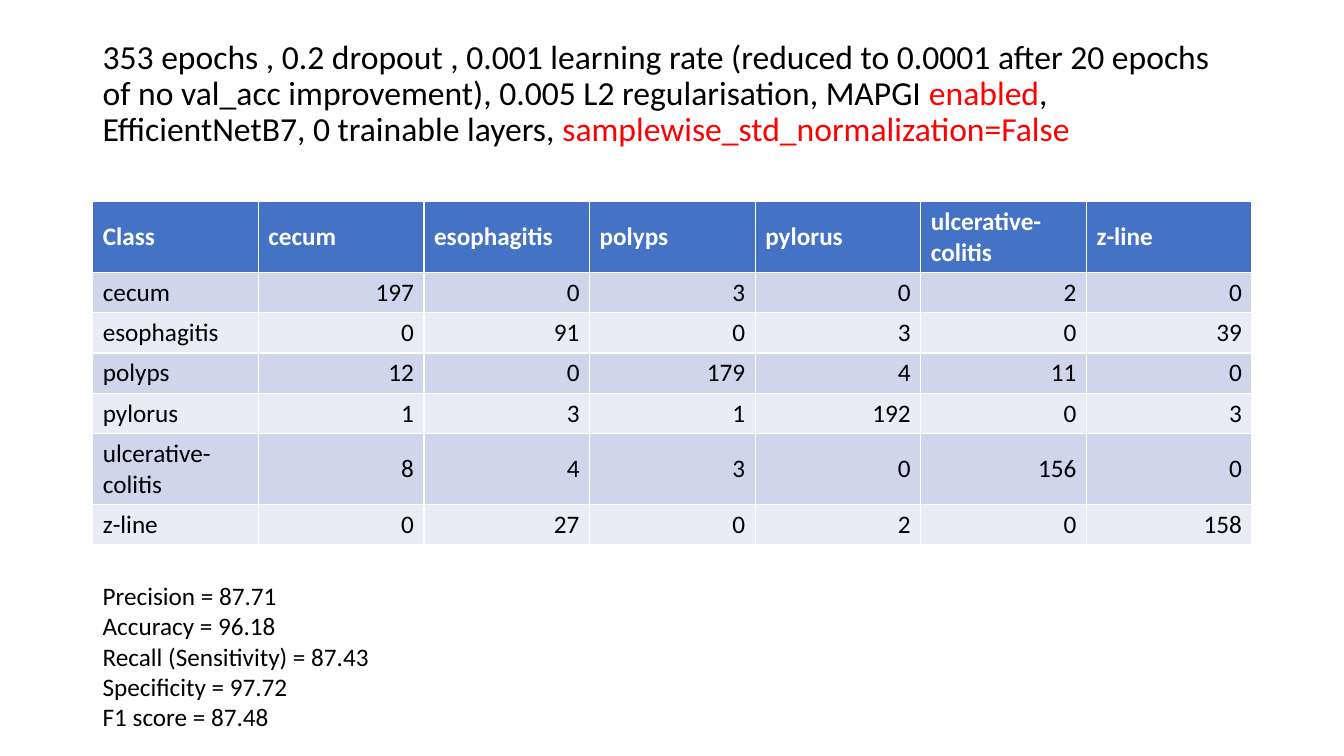
from pptx import Presentation
from pptx.dml.color import RGBColor
from pptx.enum.text import MSO_ANCHOR, PP_ALIGN
from pptx.util import Inches, Pt

BLACK = RGBColor(0x00, 0x00, 0x00)
WHITE = RGBColor(0xFF, 0xFF, 0xFF)
RED = RGBColor(0xFF, 0x00, 0x00)
HEADER = RGBColor(0x44, 0x72, 0xC4)
BANDS = [RGBColor(0xE9, 0xEB, 0xF5), RGBColor(0xCF, 0xD5, 0xEA)]

LEFT, WIDTH = Inches(0.92), Inches(11.5)

TITLE = [
    ("353 epochs , 0.2 dropout , 0.001 learning rate (reduced to 0.0001 after 20 epochs "
     "of no val_acc improvement), 0.005 L2 regularisation, MAPGI ", BLACK),
    ("enabled", RED),
    (", EfficientNetB7, 0 trainable layers, ", BLACK),
    ("samplewise_std_normalization=False", RED),
]
CLASSES = ["cecum", "esophagitis", "polyps", "pylorus", "ulcerative-colitis", "z-line"]
CONFUSION = [
    [197, 0, 3, 0, 2, 0],
    [0, 91, 0, 3, 0, 39],
    [12, 0, 179, 4, 11, 0],
    [1, 3, 1, 192, 0, 3],
    [8, 4, 3, 0, 156, 0],
    [0, 27, 0, 2, 0, 158],
]
METRICS = [
    "Precision = 87.71",
    "Accuracy = 96.18",
    "Recall (Sensitivity) = 87.43",
    "Specificity = 97.72",
    "F1 score = 87.48",
]


def style(font, size, color, bold=False):
    font.name = "Calibri"
    font.size = Pt(size)
    font.color.rgb = color
    font.bold = bold


prs = Presentation()
prs.slide_width, prs.slide_height = Inches(13.33), Inches(7.5)
s = prs.slides.add_slide(prs.slide_layouts[6])

tf = s.shapes.add_textbox(LEFT, Inches(0.4), WIDTH, Inches(1.45)).text_frame
tf.word_wrap = True
tf.margin_top = 0
p = tf.paragraphs[0]
p.line_spacing = 0.9
for text, color in TITLE:
    r = p.add_run()
    r.text = text
    style(r.font, 24, color)

rows = [["Class"] + CLASSES] + [[name] + counts for name, counts in zip(CLASSES, CONFUSION)]
table = s.shapes.add_table(len(rows), len(rows[0]), LEFT, Inches(2), WIDTH, Inches(3.4)).table
for i, row in enumerate(rows):
    table.rows[i].height = Inches(0.7 if row[0] in ("Class", "ulcerative-colitis") else 0.4)
    for j, value in enumerate(row):
        cell = table.cell(i, j)
        cell.fill.solid()
        cell.fill.fore_color.rgb = BANDS[i % 2] if i else HEADER
        cell.vertical_anchor = MSO_ANCHOR.MIDDLE
        p = cell.text_frame.paragraphs[0]
        p.text = str(value)
        p.alignment = PP_ALIGN.RIGHT if i and j else PP_ALIGN.LEFT
        style(p.runs[0].font, 18, BLACK if i else WHITE, bold=i == 0)

tf = s.shapes.add_textbox(LEFT, Inches(5.71), Inches(3), Inches(1.62)).text_frame
tf.word_wrap = True
tf.text = "\n".join(METRICS)
for p in tf.paragraphs:
    style(p.runs[0].font, 18, BLACK)

prs.save("out.pptx")
